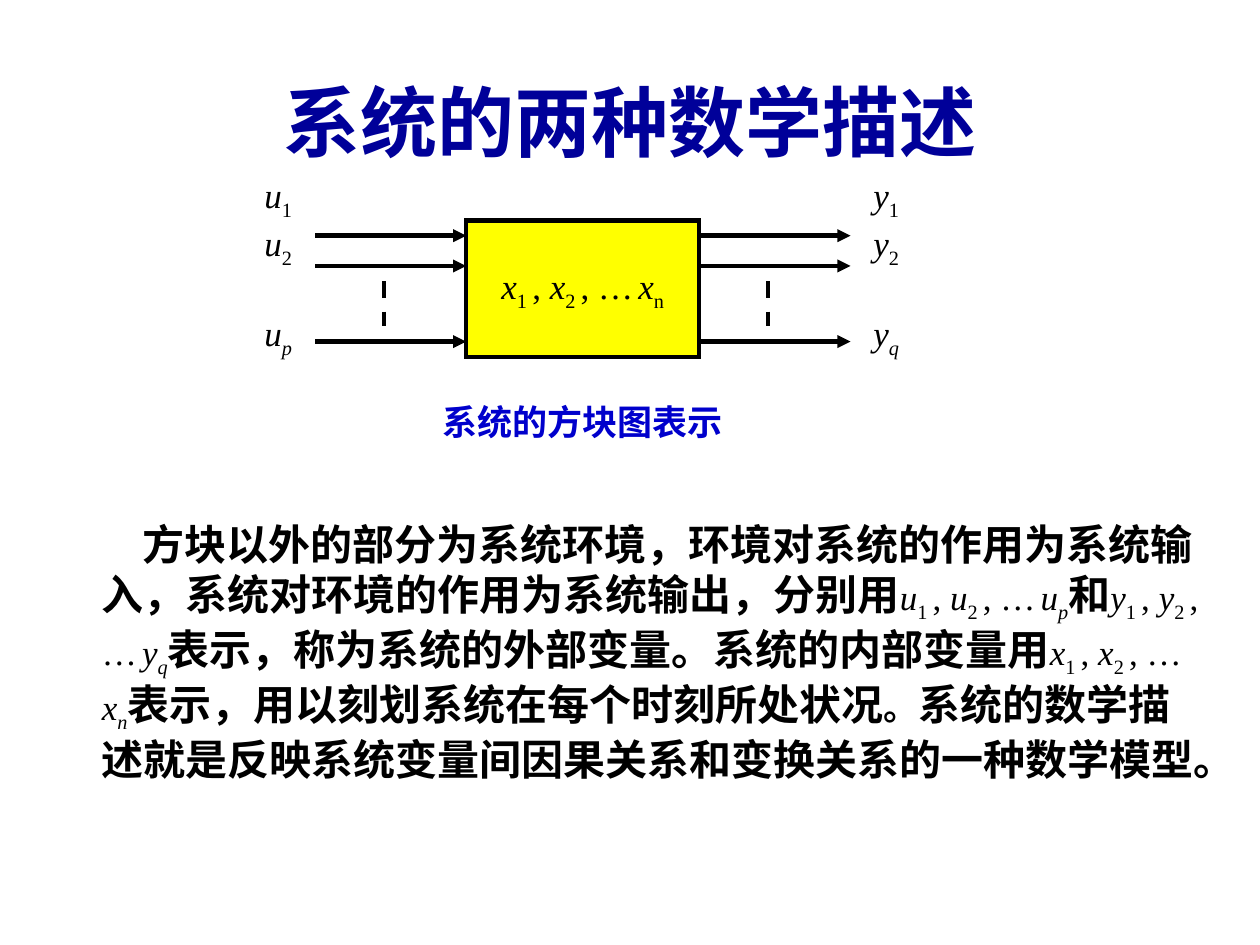
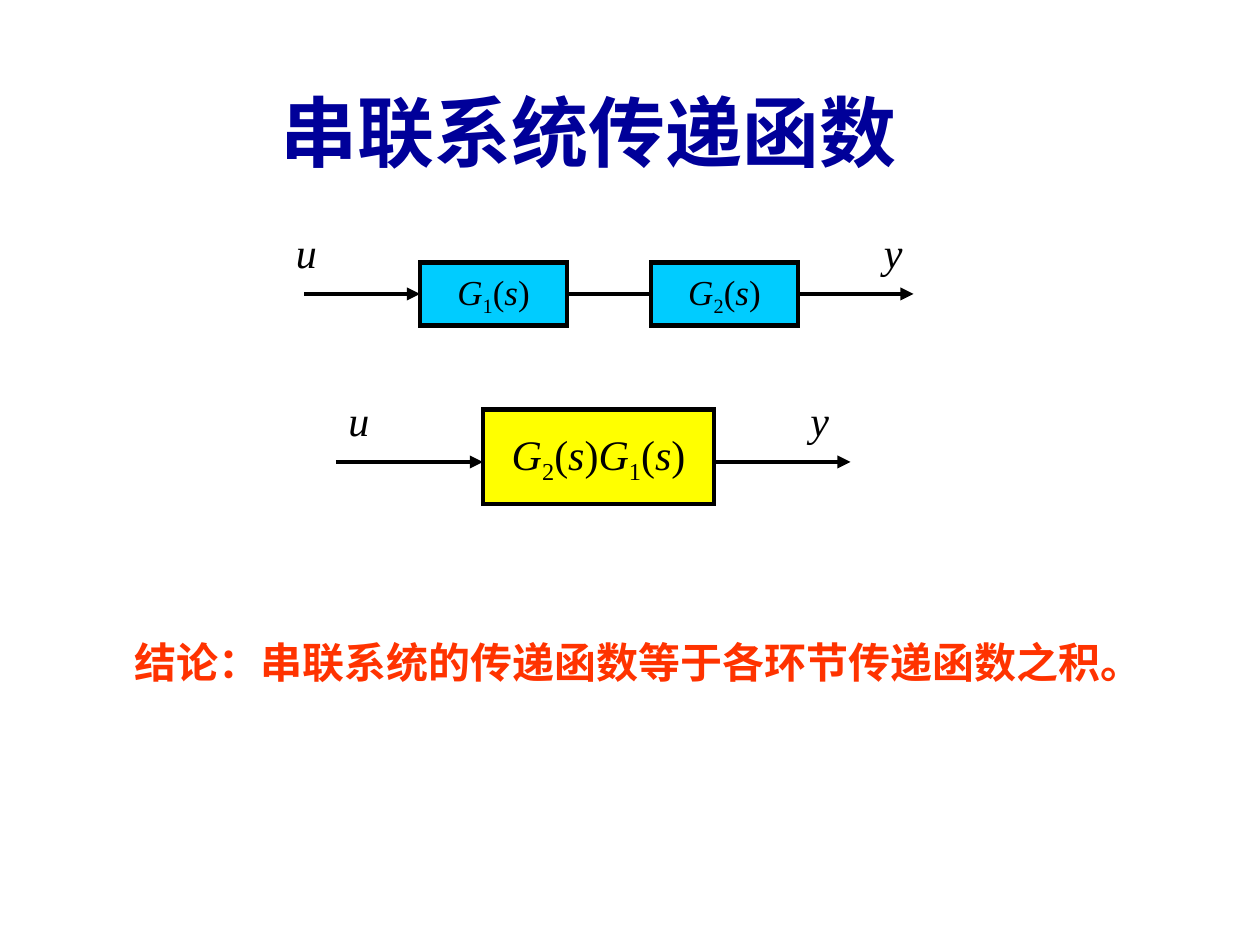
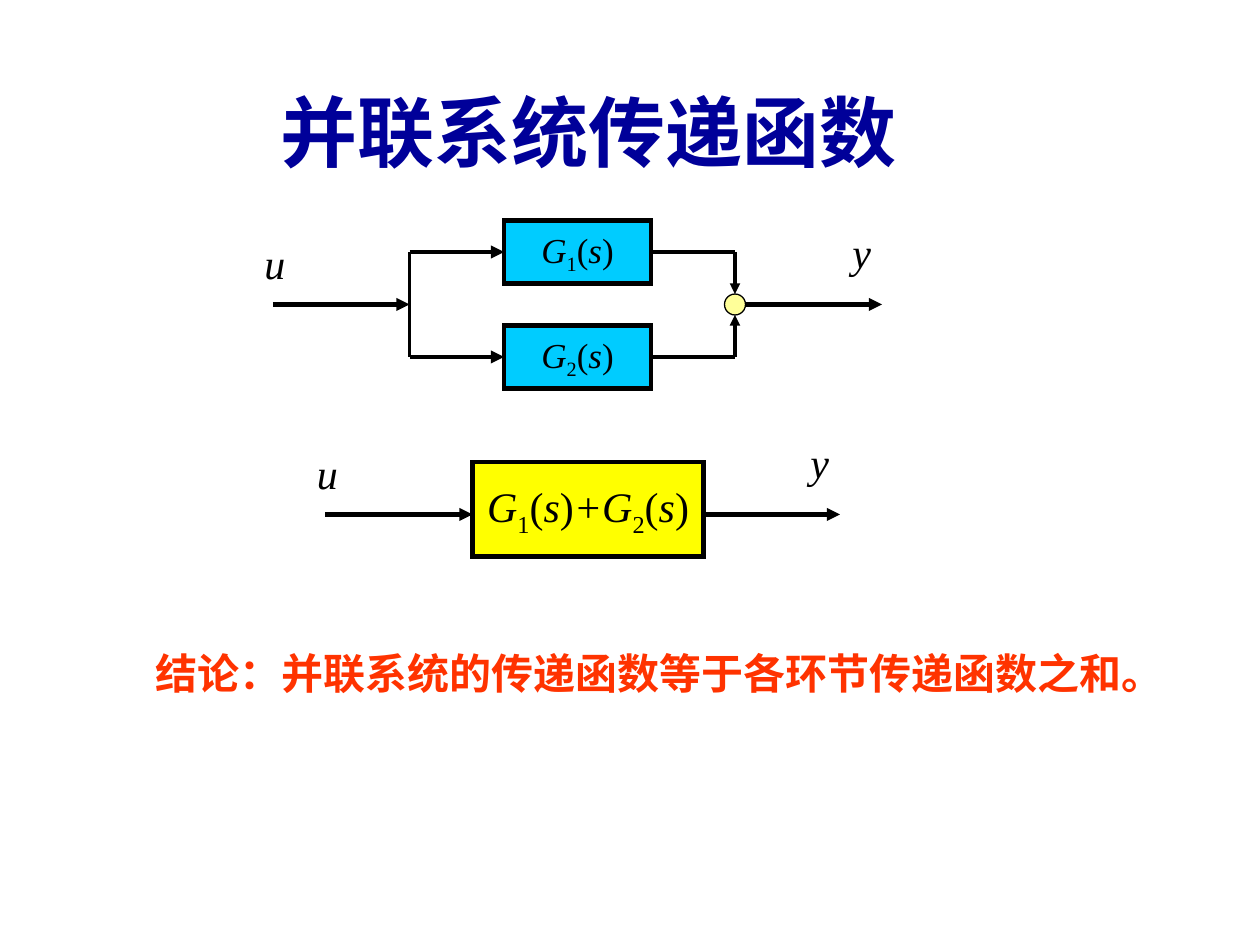
from lxml import etree
from pptx import Presentation
from pptx.dml.color import RGBColor
from pptx.enum.dml import MSO_LINE
from pptx.enum.shapes import MSO_CONNECTOR, MSO_SHAPE
from pptx.enum.text import MSO_ANCHOR, MSO_AUTO_SIZE, PP_ALIGN
from pptx.oxml.ns import qn
from pptx.util import Pt

STRAIGHT = MSO_CONNECTOR.STRAIGHT
RECTANGLE, OVAL = MSO_SHAPE.RECTANGLE, MSO_SHAPE.OVAL
TOP, MIDDLE, BOTTOM = MSO_ANCHOR.TOP, MSO_ANCHOR.MIDDLE, MSO_ANCHOR.BOTTOM
CENTER = PP_ALIGN.CENTER
DASH = MSO_LINE.DASH
NO_AUTOFIT = MSO_AUTO_SIZE.NONE
LEFT_SIDE, RIGHT_SIDE = 1, 3

COLORS = {
    "title": "000099",
    "caption": "0000CC",
    "conclusion": "FF3300",
    "ink": "000000",
    "system": "FFFF00",
    "block": "00CCFF",
    "junction": "FFFF99",
}
TEXT_FONT, MATH_FONT = "Arial", "Times New Roman"
BLOCK_SIZE = (84, 36)
SYSTEM_SIZE = (132, 54)
LABEL_SIZE = (27.4, 36)


def rgb(name):
    return RGBColor.from_string(COLORS[name])


# Text: a run is (text, style), where style is text, roman, italic, sub or italic sub

def series(letter, last, last_style="italic sub"):
    return [(letter, "italic"), ("1 ", "sub"), (", ", "roman"),
            (letter, "italic"), ("2 ", "sub"), (", …", "roman"), (" ", "sub"),
            (letter, "italic"), (last, last_style)]


def transfer(number, sign=""):
    return [(sign + "G", "italic"), (number, "sub"), ("(", "roman"),
            ("s", "italic"), (")", "roman")]


def add_runs(paragraph, runs, size, color="ink", math_size=None):
    for text, style in runs:
        run = paragraph.add_run()
        run.text = text
        font = run.font
        is_text = style == "text"
        font.name = TEXT_FONT if is_text else MATH_FONT
        font.size = Pt(size if is_text else math_size or size)
        font.bold = is_text
        font.italic = "italic" in style
        font.color.rgb = rgb(color)
        if "sub" in style:
            run._r.get_or_add_rPr().set("baseline", "-25000")


def set_indent(paragraph, first_line):
    properties = paragraph._p.get_or_add_pPr()
    properties.set("marL", str(Pt(27)))
    properties.set("indent", str(Pt(first_line)))


def place(shape, left, top, width, height):
    shape.left, shape.top = Pt(left), Pt(top)
    shape.width, shape.height = Pt(width), Pt(height)


def set_frame(shape, anchor, wrap=True):
    frame = shape.text_frame
    frame.auto_size = NO_AUTOFIT
    frame.word_wrap = wrap
    frame.vertical_anchor = anchor
    return frame


def add_text(slide, left, top, width, height, anchor=TOP):
    box = slide.shapes.add_textbox(Pt(left), Pt(top), Pt(width), Pt(height))
    return set_frame(box, anchor)


def add_title_slide(presentation, layout, title, left, top):
    slide = presentation.slides.add_slide(presentation.slide_layouts[layout])
    place(slide.shapes.title, left, top, 672.5, 90)
    paragraph = set_frame(slide.shapes.title, MIDDLE).paragraphs[0]
    paragraph.alignment = CENTER
    add_runs(paragraph, [(title, "text")], 44, "title")
    return slide


def add_signal_label(slide, letter, left, top):
    frame = add_text(slide, left, top, *LABEL_SIZE, BOTTOM)
    add_runs(frame.paragraphs[0], [(letter, "italic")], 24)


def add_signal_list(slide, letter, last, left):
    frame = add_text(slide, left, 92.2, 31, 116.6, BOTTOM)
    subscripts = [("1", "sub"), ("2", "sub"), (last, "italic sub")]
    for index, subscript in enumerate(subscripts):
        paragraph = frame.add_paragraph() if index else frame.paragraphs[0]
        add_runs(paragraph, [(letter, "italic"), subscript], 20)
    paragraph.space_before = Pt(24)


def add_conclusion(slide, text, left, top):
    frame = add_text(slide, left, top, 600, 58)
    frame.margin_right = Pt(24)
    paragraph = frame.paragraphs[0]
    set_indent(paragraph, -11)
    paragraph.line_spacing = 1.25
    add_runs(paragraph, [(text, "text")], 24, "conclusion")


# Diagram parts

def add_shape(slide, kind, left, top, width, height, fill, line_width=2.5):
    shape = slide.shapes.add_shape(kind, Pt(left), Pt(top), Pt(width), Pt(height))
    shape.shadow.inherit = False
    shape.fill.solid()
    shape.fill.fore_color.rgb = rgb(fill)
    shape.line.color.rgb = rgb("ink")
    shape.line.width = Pt(line_width)
    miter = etree.SubElement(shape.line._get_or_add_ln(), qn("a:miter"))
    miter.set("lim", "800000")
    return shape


def add_block(slide, left, top, size, fill, runs, font_size):
    block = add_shape(slide, RECTANGLE, left, top, *size, fill)
    paragraph = set_frame(block, MIDDLE, wrap=False).paragraphs[0]
    paragraph.alignment = CENTER
    add_runs(paragraph, runs, font_size)
    return block


def add_transfer_block(slide, number, left, top):
    return add_block(slide, left, top, BLOCK_SIZE, "block", transfer(number), 20)


def add_line(slide, start, end, arrow=True, width=2.5, dash=None,
             source=None, target=None):
    """Draw a line, joined to the right of source and the left of target."""
    connector = slide.shapes.add_connector(
        STRAIGHT, *(Pt(value) for value in (*start, *end)))
    if source is not None:
        connector.begin_connect(source, RIGHT_SIDE)
    if target is not None:
        connector.end_connect(target, LEFT_SIDE)
    connector.line.color.rgb = rgb("ink")
    connector.line.width = Pt(width)
    if dash is not None:
        connector.line.dash_style = dash
    if arrow:
        outline = connector.line._get_or_add_ln()
        etree.SubElement(outline, qn("a:tailEnd")).set("type", "triangle")
    etree.SubElement(connector._element.spPr, qn("a:effectLst"))


def add_equivalent_system(slide, left, top, runs):
    """One block with an arrow in and an arrow out."""
    line_y = top + 30
    right = left + SYSTEM_SIZE[0]
    add_block(slide, left, top, SYSTEM_SIZE, "system", runs, 24)
    add_line(slide, (left - 84, line_y), (left, line_y))
    add_line(slide, (right, line_y), (right + 78, line_y))


# Slides

def build_description_slide(presentation):
    slide = add_title_slide(presentation, 1, "系统的两种数学描述", 24, 24)

    # Explanation
    body = slide.placeholders[1]
    place(body, 24, 288, 672.5, 198)
    frame = set_frame(body, TOP)
    frame.margin_top = Pt(8.2)
    paragraph = frame.paragraphs[0]
    set_indent(paragraph, 23)
    etree.SubElement(paragraph._p.get_or_add_pPr(), qn("a:buNone"))
    paragraph.space_before = Pt(0)
    runs = [
        ("方块以外的部分为系统环境，环境对系统的作用为系统输入，"
         "系统对环境的作用为系统输出，分别用", "text"),
        *series("u", "p"), ("和", "text"), *series("y", "q"),
        ("表示，称为系统的外部变量。系统的内部变量用", "text"),
        *series("x", "n"), ("表示，用以刻划系统在每个时刻所处状况", "text"),
    ]
    add_runs(paragraph, runs, 24, math_size=20)
    add_runs(paragraph, [("。", "text")], 20)
    add_runs(paragraph, [("系统的数学描述就是反映系统变量间因果关系和变换关系的"
                          "一种数学模型。", "text")], 24)

    # System block with its inputs and outputs
    add_block(slide, 266.4, 126, (133.2, 78), "system", series("x", "n", "sub"), 20)
    for left in (180, 399.6):
        for y in (134.7, 152, 195.2):
            add_line(slide, (left, y), (left + 86.4, y))
    for x in (219.4, 438.9):
        add_line(slide, (x, 160.6), (x, 186.5), arrow=False, dash=DASH)
    add_signal_list(slide, "u", "p", 144)
    add_signal_list(slide, "y", "q", 492)

    # Caption
    caption = add_text(slide, 228, 228, 198, 24).paragraphs[0]
    set_indent(caption, -9.4)
    caption.line_spacing = 0.9
    add_runs(caption, [("系统的方块图表示", "text")], 20, "caption")


def build_series_slide(presentation):
    slide = add_title_slide(presentation, 5, "串联系统传递函数", 0, 29.6)
    add_conclusion(slide, "结论：串联系统的传递函数等于各环节传递函数之积。", 54, 353)

    # Two blocks in a row
    first = add_transfer_block(slide, "1", 240, 150)
    second = add_transfer_block(slide, "2", 372, 150)
    add_line(slide, (174, 168), (240, 168), target=first)
    add_line(slide, (324, 168), (372, 168), arrow=False, source=first, target=second)
    add_line(slide, (456, 168), (522, 168), source=second)

    # Equivalent system
    add_equivalent_system(slide, 276, 234, transfer("2") + transfer("1"))

    for letter, left, top in (("u", 162, 126), ("u", 192, 222),
                              ("y", 498, 126), ("y", 456, 222)):
        add_signal_label(slide, letter, left, top)


def build_parallel_slide(presentation):
    slide = add_title_slide(presentation, 5, "并联系统传递函数", 0, 29.6)
    add_conclusion(slide, "结论：并联系统的传递函数等于各环节传递函数之和。", 66, 359)

    # Two branches meeting at the summing junction
    split_x, sum_x, center_y, radius = 234, 420, 174, 6
    add_line(slide, (split_x, 144), (split_x, 204), arrow=False, width=2)
    add_shape(slide, OVAL, sum_x - radius, center_y - radius,
              2 * radius, 2 * radius, "junction", 0.75)
    for number, y, side in (("1", 144, -1), ("2", 204, 1)):
        block = add_transfer_block(slide, number, 288, y - 18)
        add_line(slide, (split_x, y), (288, y), target=block)
        add_line(slide, (372, y), (sum_x, y), arrow=False, source=block)
        add_line(slide, (sum_x, y), (sum_x, center_y + side * radius), width=2)
    add_line(slide, (156, center_y), (split_x, center_y))
    add_line(slide, (sum_x + radius, center_y), (504, center_y))

    # Equivalent system
    add_equivalent_system(slide, 270, 264, transfer("1") + transfer("2", "+"))

    for letter, left, top in (("u", 144, 132), ("u", 174, 252),
                              ("y", 480, 126), ("y", 456, 245.5)):
        add_signal_label(slide, letter, left, top)


def main():
    presentation = Presentation()
    presentation.slide_width, presentation.slide_height = Pt(720), Pt(540)
    build_description_slide(presentation)
    build_series_slide(presentation)
    build_parallel_slide(presentation)
    presentation.save("out.pptx")


if __name__ == "__main__":
    main()
